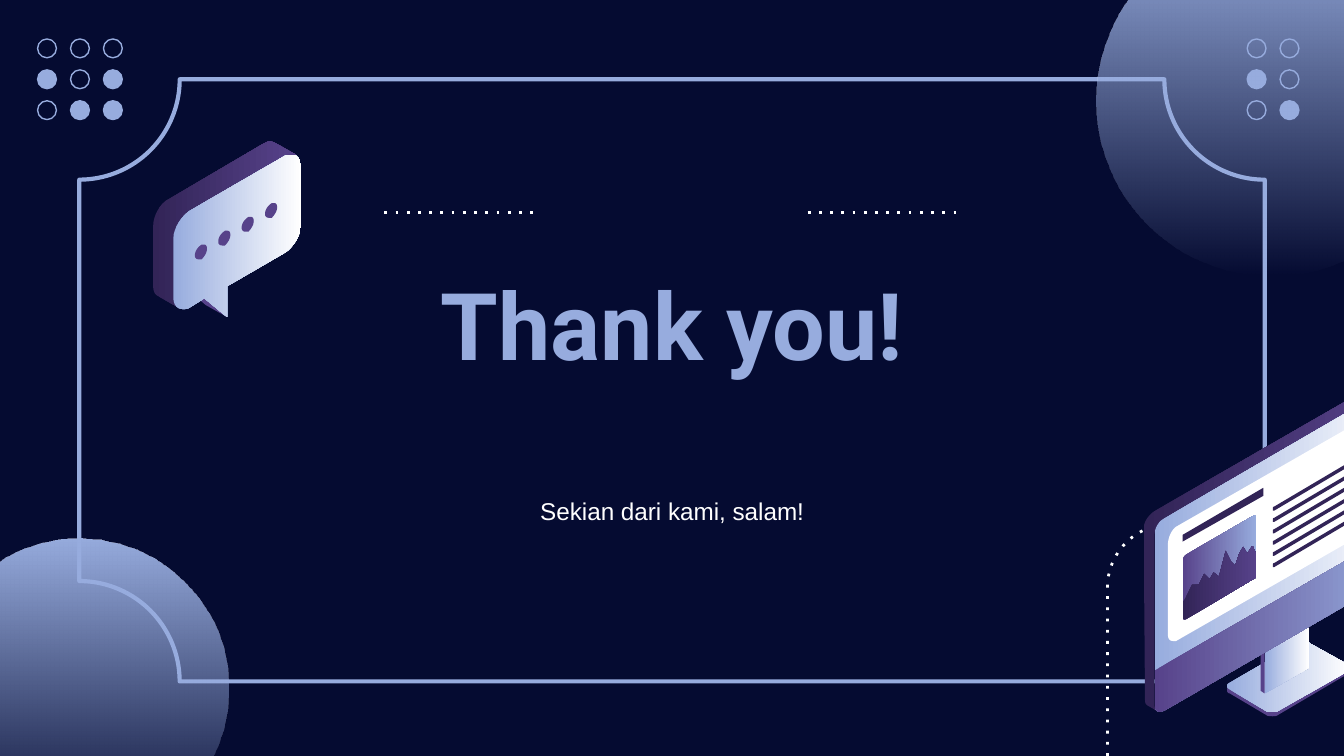
from pptx import Presentation
from pptx.dml.color import RGBColor
from pptx.enum.dml import MSO_LINE
from pptx.enum.shapes import MSO_CONNECTOR, MSO_SHAPE
from pptx.enum.text import MSO_ANCHOR, MSO_AUTO_SIZE, PP_ALIGN
from pptx.oxml.ns import qn
from pptx.oxml.xmlchemy import OxmlElement
from pptx.util import Inches, Pt

NAVY = RGBColor(0x05, 0x0B, 0x31)
BLUE = RGBColor(0x97, 0xAC, 0xDE)
PURPLE = RGBColor(0x57, 0x42, 0x8A)
DARK_PURPLE = RGBColor(0x32, 0x24, 0x57)
LILAC = RGBColor(0xBC, 0xBA, 0xF8)
WHITE = RGBColor(0xFF, 0xFF, 0xFF)

# Horizontal gradients of the illustrations
SHADE = (DARK_PURPLE, PURPLE)
GLOSS = (BLUE, WHITE)
GLOW = (PURPLE, BLUE)

CENTER = PP_ALIGN.CENTER
STRAIGHT = MSO_CONNECTOR.STRAIGHT
OVAL, PLAQUE, ROUNDED = MSO_SHAPE.OVAL, MSO_SHAPE.PLAQUE, MSO_SHAPE.ROUNDED_RECTANGLE
CURVE_STEPS = 8


def fill_gradient(shape, colors, angle=0):
    shape.fill.gradient()
    shape.fill.gradient_angle = angle
    for stop, color in zip(shape.fill.gradient_stops, colors):
        stop.color.rgb = color


def add_outline(shapes, kind, box, color, width, fill=None):
    shape = shapes.add_shape(kind, *[Inches(v) for v in box])
    shape.shadow.inherit = False
    if fill is None:
        shape.fill.background()
    else:
        shape.fill.solid()
        shape.fill.fore_color.rgb = fill
    shape.line.color.rgb = color
    shape.line.width = Pt(width)
    return shape


def set_dotted(shape):
    shape.line.color.rgb = WHITE
    shape.line.width = Pt(1.5)
    shape.line.dash_style = MSO_LINE.ROUND_DOT
    shape._element.spPr.find(".//" + qn("a:prstDash")).set("val", "dot")


def add_dotted_line(shapes, left, right, y):
    line = shapes.add_connector(STRAIGHT, Inches(left), Inches(y), Inches(right), Inches(y))
    set_dotted(line)
    line._element.spPr.append(OxmlElement("a:effectLst"))


def add_fading_circle(shapes, left, top, size):
    circle = shapes.add_shape(OVAL, Inches(left), Inches(top), Inches(size), Inches(size))
    circle.shadow.inherit = False
    circle.line.fill.background()
    fill_gradient(circle, (BLUE, BLUE), 270)
    alpha = OxmlElement("a:alpha")
    alpha.set("val", "0")
    circle._element.spPr.findall(".//" + qn("a:srgbClr"))[-1].append(alpha)


def add_circle_grid(shapes, left, rows):
    """Draw rows of small circles; an x marks a filled one."""
    grid = shapes.add_group_shape().shapes
    for row, marks in enumerate(rows):
        for col, mark in enumerate(marks):
            box = (left + 0.245 * col, 0.29 + 0.23 * row, 0.14, 0.14)
            add_outline(grid, OVAL, box, BLUE, 0.75, BLUE if mark == "x" else None)


def flatten(path):
    """Turn points and (control, control, end) curves into plain points."""
    points = [path[0]]
    for step in path[1:]:
        if len(step) == 2:
            points.append(step)
            continue
        x0, y0 = points[-1]
        x1, y1, x2, y2, x3, y3 = step
        for i in range(1, CURVE_STEPS + 1):
            t = i / CURVE_STEPS
            u = 1 - t
            a, b, c, d = u ** 3, 3 * u * u * t, 3 * u * t * t, t ** 3
            points.append((a * x0 + b * x1 + c * x2 + d * x3,
                           a * y0 + b * y1 + c * y2 + d * y3))
    return points


def add_outline_area(shapes, path, fill, dx=0, dy=0):
    points = [(Inches(x + dx), Inches(y + dy)) for x, y in flatten(path)]
    builder = shapes.build_freeform(*points[0])
    builder.add_line_segments(points[1:], close=True)
    area = builder.convert_to_shape()
    area.shadow.inherit = False
    area.line.fill.background()
    if isinstance(fill, RGBColor):
        area.fill.solid()
        area.fill.fore_color.rgb = fill
    else:
        fill_gradient(area, fill)


def add_speech_bubble(shapes):
    bubble = shapes.add_group_shape().shapes
    tail = [(1.37, 2.13), (1.53, 2.27), (1.69, 2.36), (1.52, 2.22)]
    side = [(2.01, 1.05), (2, 1.05, 1.98, 1.06, 1.96, 1.07), (1.26, 1.48),
            (1.19, 1.51, 1.14, 1.61, 1.14, 1.68), (1.14, 2.13),
            (1.14, 2.16, 1.15, 2.19, 1.17, 2.2), (1.33, 2.29),
            (1.31, 2.28, 1.29, 2.26, 1.29, 2.22), (1.29, 1.77),
            (1.29, 1.7, 1.35, 1.61, 1.41, 1.57), (2.12, 1.16),
            (2.13, 1.15, 2.15, 1.15, 2.17, 1.15), (2.2, 1.15), (2.04, 1.06),
            (2.03, 1.06, 2.02, 1.05, 2.01, 1.05)]
    front = [(2.17, 1.15), (2.15, 1.15, 2.13, 1.15, 2.12, 1.16), (1.41, 1.57),
             (1.35, 1.61, 1.29, 1.7, 1.29, 1.77), (1.29, 2.22),
             (1.29, 2.27, 1.32, 2.3, 1.36, 2.3), (1.38, 2.3, 1.39, 2.3, 1.41, 2.29),
             (1.52, 2.22), (1.69, 2.36), (1.69, 2.13), (2.12, 1.88),
             (2.18, 1.84, 2.24, 1.75, 2.24, 1.67), (2.24, 1.23),
             (2.23, 1.18, 2.21, 1.15, 2.17, 1.15)]
    dot = [(1.52, 1.82), (1.51, 1.82, 1.5, 1.82, 1.5, 1.82),
           (1.47, 1.84, 1.45, 1.87, 1.45, 1.9), (1.45, 1.92, 1.46, 1.93, 1.48, 1.93),
           (1.48, 1.93, 1.49, 1.93, 1.5, 1.93), (1.52, 1.91, 1.54, 1.88, 1.54, 1.85),
           (1.54, 1.83, 1.53, 1.82, 1.52, 1.82)]
    for path, fill in ((tail, PURPLE), (side, SHADE), (front, GLOSS)):
        add_outline_area(bubble, path, fill)
    for i in range(4):
        add_outline_area(bubble, dot, PURPLE, 0.174 * i, -0.103 * i)


def add_monitor(shapes):
    monitor = shapes.add_group_shape().shapes
    # Stand
    foot_edge = [(10.04, 4.97), (10.04, 4.98, 10.03, 4.99, 10.02, 5), (9.51, 5.29),
                 (9.5, 5.3, 9.48, 5.3, 9.47, 5.3), (9.45, 5.3, 9.43, 5.3, 9.42, 5.29),
                 (9.15, 5.13), (9.14, 5.13, 9.13, 5.12, 9.13, 5.11), (9.13, 5.14),
                 (9.13, 5.15, 9.14, 5.16, 9.15, 5.16), (9.42, 5.32),
                 (9.43, 5.33, 9.45, 5.33, 9.47, 5.33), (9.48, 5.33, 9.5, 5.33, 9.51, 5.32),
                 (10.02, 5.02), (10.04, 5.02, 10.04, 5.01, 10.04, 5)]
    foot = [(9.71, 4.77), (9.69, 4.77, 9.67, 4.78, 9.66, 4.79), (9.15, 5.08),
            (9.12, 5.09, 9.12, 5.12, 9.15, 5.13), (9.42, 5.29),
            (9.43, 5.3, 9.45, 5.3, 9.47, 5.3), (9.48, 5.3, 9.5, 5.3, 9.51, 5.29),
            (10.02, 5), (10.05, 4.98, 10.05, 4.96, 10.02, 4.94), (9.75, 4.79),
            (9.74, 4.78, 9.72, 4.77, 9.71, 4.77)]
    neck = [(9.74, 4.54), (9.41, 4.73), (9.41, 5.16), (9.74, 4.97)]
    neck_side = [(9.38, 4.71), (9.38, 5.14), (9.41, 5.16), (9.41, 4.73)]
    neck_top = [(9.41, 4.73), (9.38, 4.71), (9.71, 4.52), (9.74, 4.54)]
    # Case and screen
    case_side = [(10.28, 2.84), (10.27, 2.84, 10.26, 2.84, 10.25, 2.85), (8.58, 3.81),
                 (8.54, 3.84, 8.51, 3.89, 8.51, 3.93), (8.52, 5.2),
                 (8.52, 5.22, 8.52, 5.24, 8.54, 5.25), (8.61, 5.29),
                 (8.6, 5.28, 8.59, 5.27, 8.59, 5.25), (8.59, 3.98),
                 (8.59, 3.93, 8.62, 3.88, 8.66, 3.86), (10.33, 2.89), (10.38, 2.89),
                 (10.3, 2.84)]
    lower_edge = [(8.59, 5.25), (8.59, 5.28, 8.61, 5.3, 8.63, 5.3),
                  (8.64, 5.3, 8.65, 5.29, 8.66, 5.29), (10.33, 4.32),
                  (10.37, 4.3, 10.4, 4.25, 10.4, 4.21)]
    case = [(10.36, 2.89), (10.33, 2.89), (8.66, 3.86),
            (8.62, 3.88, 8.59, 3.93, 8.59, 3.98), *lower_edge, (10.4, 2.93),
            (10.4, 2.9, 10.38, 2.89, 10.36, 2.89)]
    chin = [(10.4, 3.95), (8.59, 4.99), *lower_edge]
    screen = [(10.28, 3.05), (10.27, 3.05, 10.26, 3.06, 10.25, 3.06), (8.75, 3.92),
              (8.72, 3.94, 8.69, 4, 8.69, 4.05), (8.69, 4.72),
              (8.69, 4.75, 8.7, 4.77, 8.73, 4.77), (8.75, 4.77), (10.25, 3.91),
              (10.29, 3.88, 10.32, 3.83, 10.32, 3.78), (10.32, 3.11),
              (10.32, 3.08, 10.3, 3.05, 10.28, 3.05)]
    # Page content on the screen
    panel_base = [(8.8, 4.6), (8.8, 4.6, 8.8, 4.61, 8.81, 4.61), (8.82, 4.61),
                  (9.34, 4.3), (9.35, 4.3, 9.35, 4.29, 9.35, 4.28)]
    panel = [(9.34, 3.83), (8.82, 4.13), (8.81, 4.14, 8.8, 4.15, 8.8, 4.16),
             *panel_base, (9.35, 3.84), (9.35, 3.83, 9.35, 3.83, 9.34, 3.83)]
    peaks = [(9.32, 4.06), (9.28, 4.12), (9.25, 4.07), (9.22, 4.12), (9.19, 4.21),
             (9.16, 4.18), (9.12, 4.1), (9.07, 4.29), (9.03, 4.26), (9, 4.31),
             (8.96, 4.27), (8.92, 4.35), (8.87, 4.35), (8.82, 4.45), (8.8, 4.48),
             *panel_base, (9.35, 4.1), (9.34, 4.11)]
    heading = [(9.4, 3.63), (8.8, 3.98), (8.8, 4.03), (9.4, 3.69)]
    text_line = [(10.25, 3.32), (10.24, 3.32), (9.48, 3.77),
                 (9.47, 3.77, 9.47, 3.78, 9.47, 3.79), (9.47, 3.8), (9.48, 3.8),
                 (10.24, 3.35), (10.25, 3.35, 10.25, 3.34, 10.25, 3.33)]
    for path, fill in ((foot_edge, PURPLE), (foot, GLOSS), (neck, GLOSS),
                       (neck_side, PURPLE), (neck_top, LILAC), (case_side, SHADE),
                       (case, GLOSS), (chin, GLOW), (screen, WHITE), (panel, GLOW),
                       (peaks, SHADE), (heading, DARK_PURPLE)):
        add_outline_area(monitor, path, fill)
    for i in range(6):
        add_outline_area(monitor, text_line, DARK_PURPLE, dy=0.084 * i)


def format_paragraph(paragraph, text, font, size, color, bold):
    paragraph.text = text
    paragraph.alignment = CENTER
    paragraph.font.name = font
    paragraph.font.size = Pt(size)
    paragraph.font.color.rgb = color
    paragraph.font.bold = bold


def fill_title(title):
    title.left, title.top, title.width, title.height = [
        Inches(v) for v in (0.93, 1.89, 8.14, 1.89)]
    frame = title.text_frame
    frame.word_wrap = True
    frame.auto_size = MSO_AUTO_SIZE.NONE
    frame.vertical_anchor = MSO_ANCHOR.TOP
    frame.margin_left = frame.margin_right = Inches(0.1)
    frame.margin_top = frame.margin_bottom = Inches(0.1)
    format_paragraph(frame.paragraphs[0], "Thank you!", "Roboto", 50, BLUE, True)
    closing = frame.add_paragraph()
    format_paragraph(closing, "Sekian dari kami, salam!", "Arial", 13, WHITE, False)
    closing.line_spacing = 1.15
    closing.space_before = Pt(60)


def main():
    prs = Presentation()
    prs.slide_width = Inches(10)
    prs.slide_height = prs.slide_width * 9 // 16
    slide = prs.slides.add_slide(prs.slide_layouts[5])
    slide.background.fill.solid()
    slide.background.fill.fore_color.rgb = NAVY
    shapes = slide.shapes

    # Frame and corner grids
    add_outline(shapes, PLAQUE, (0.59, 0.59, 8.82, 4.48), BLUE, 2.25)
    add_circle_grid(shapes, 0.28, ("ooo", "xox", "oxx"))
    add_circle_grid(shapes, 9.28, ("oo", "xo", "ox"))

    fill_title(shapes.title)

    # Decoration
    add_fading_circle(shapes, -0.52, 4.01, 2.22)
    set_dotted(add_outline(shapes, ROUNDED, (8.24, 3.9, 2.83, 2.96), WHITE, 1.5))
    for left in (2.86, 6.01):
        add_dotted_line(shapes, left, left + 1.14, 1.58)
    add_speech_bubble(shapes)
    add_monitor(shapes)
    add_fading_circle(shapes, 8.16, -0.55, 2.6)

    prs.save("out.pptx")


if __name__ == "__main__":
    main()
